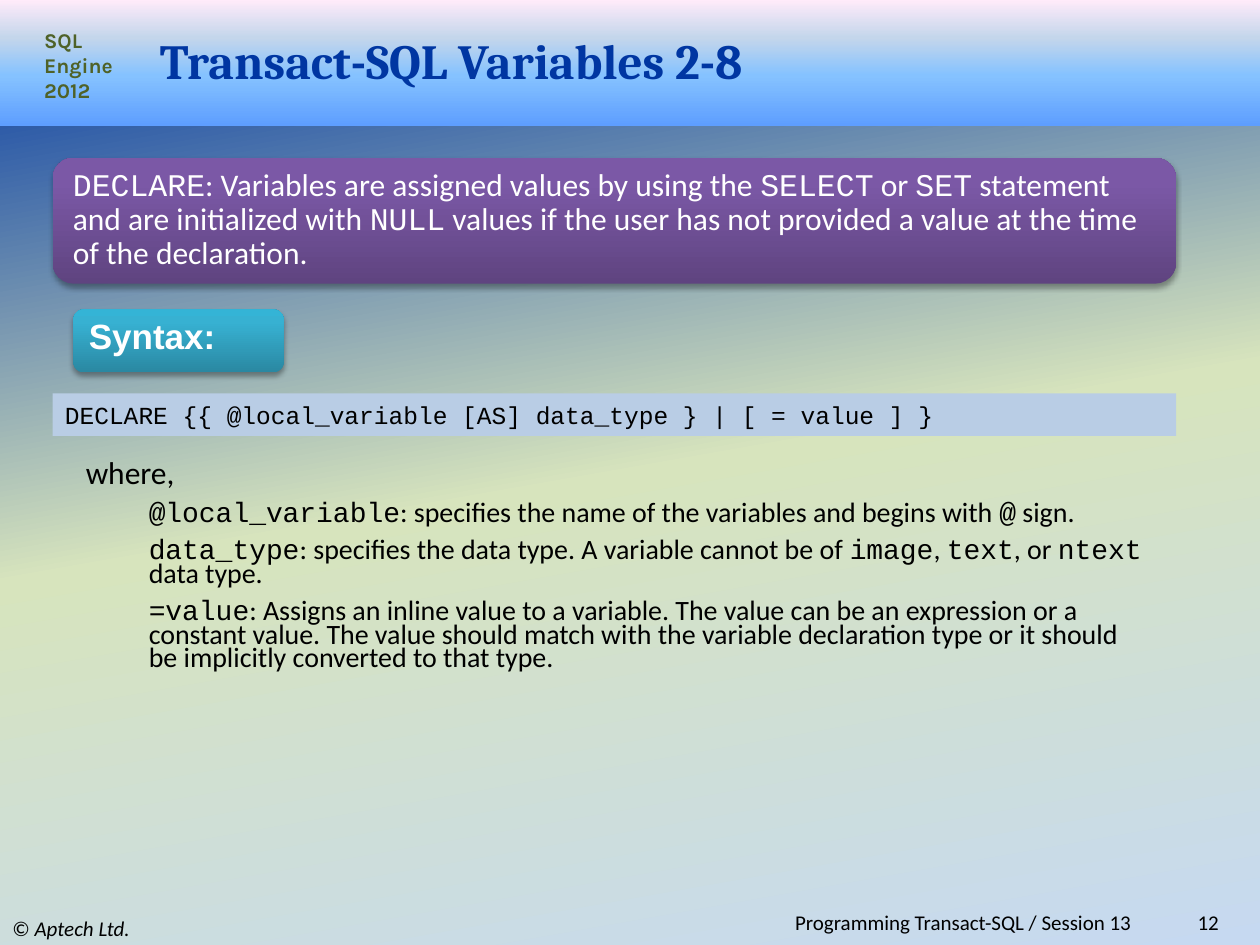
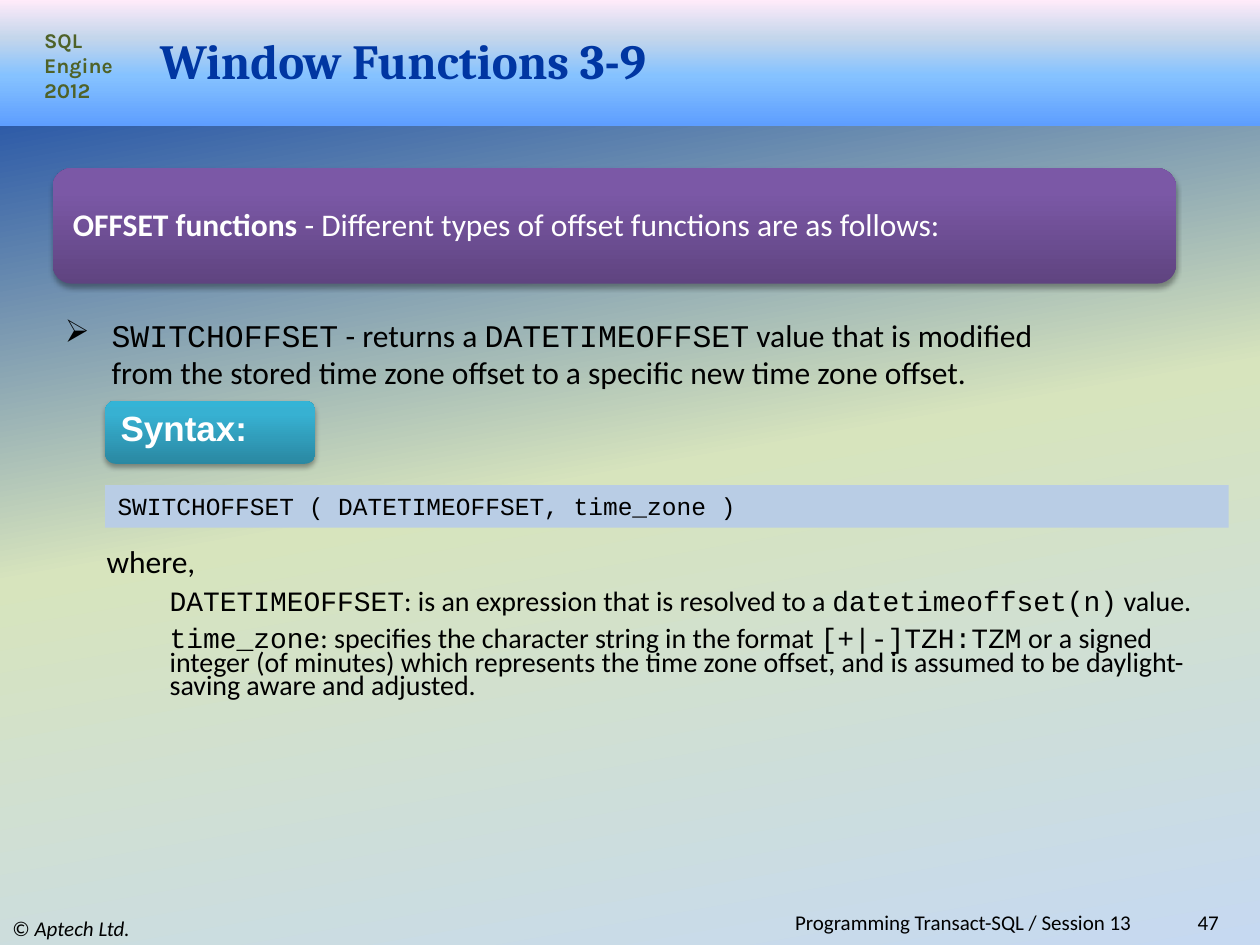
from dataclasses import dataclass
from typing import Any, NamedTuple, Optional

from lxml.etree import SubElement as Sub
from pptx import Presentation
from pptx.dml.color import RGBColor as Rgb
from pptx.enum.shapes import MSO_SHAPE as Form
from pptx.enum.text import MSO_ANCHOR as Anchor, PP_ALIGN as Align
from pptx.oxml.ns import qn
from pptx.util import Cm, Pt

HEX = {
    "black": "000000", "white": "FFFFFF", "title": "0036A2", "edge": "C00000",
    "label": "4F6228", "code": "B9CDE5",
}
# Each gradient: its angle, then (position, colour) stops.
GRADS = {
    "back": (80, [(0, "0036A2"), (50, "D7E4BD"), (100, "C6D9F1")]),
    "band": (270, [(0, "5E9EFF"), (40, "85C2FF"), (70, "C4D6EB"), (100, "FFEBFA")]),
    "panel": (270, [(0, "5F4480"), (80, "7B58A6"), (100, "7C57A8")]),
    "tag": (270, [(0, "2A88A2"), (80, "37B1D2"), (100, "34B4D6")]),
}
MONO = {"font": "Courier New"}
BOLD = {"bold": True}
HANG = 0.94


class Box(NamedTuple):
    x: float
    y: float
    w: float
    h: float

    def lens(self) -> list[Cm]:
        return [Cm(side) for side in self]


@dataclass
class Page:
    title: str
    num: int
    intro: str
    panel: Box
    tag: tuple[float, float]
    code: str
    bar: tuple[float, float]
    terms: list[str]
    notes: Box
    accent: dict[str, Any]
    point: Optional[str] = None


PAGES = [
    Page(
        title="Transact-SQL Variables 2-8",
        num=12,
        intro="`DECLARE`: Variables are assigned values by using the `SELECT` or `SET` "
              "statement and are initialized with `NULL` values if the user has not "
              "provided a value at the time of the declaration.",
        panel=Box(1.06, 3.18, 22.65, 2.54),
        tag=(1.48, 6.24),
        code="DECLARE {{ @local_variable [AS] data_type } | [ = value ] }",
        bar=(1.06, 7.93),
        terms=[
            "`@local_variable`: specifies the name of the variables and begins with "
            "`@` sign.",
            "`data_type`: specifies the data type. A variable cannot be of `image`, "
            "`text`, or `ntext` data type.",
            "`=value`: Assigns an inline value to a variable. The value can be an "
            "expression or a constant value. The value should match with the variable "
            "declaration type or it should be implicitly converted to that type.",
        ],
        notes=Box(1.48, 9.21, 21.8, 4.7),
        accent=MONO,
    ),
    Page(
        title="Window Functions 3-9",
        num=47,
        intro="`OFFSET functions` - Different types of offset functions are as follows:",
        panel=Box(1.06, 3.39, 22.65, 2.33),
        tag=(2.12, 8.08),
        code="SWITCHOFFSET ( DATETIMEOFFSET, time_zone )",
        bar=(2.12, 9.78),
        terms=[
            "`DATETIMEOFFSET`: is an expression that is resolved to a "
            "`datetimeoffset(n)` value.",
            "`time_zone`: specifies the character string in the format "
            "`[+|-]TZH:TZM` or a signed integer (of minutes) which represents the "
            "time zone offset, and is assumed to be daylight-saving aware and adjusted.",
        ],
        notes=Box(1.9, 11, 22.65, 3.4),
        accent=BOLD,
        point="`SWITCHOFFSET` - returns a `DATETIMEOFFSET` value that is modified from "
              "the stored time zone offset to a specific new time zone offset.",
    ),
]


def blend(fill: Any, root: Any, name: str) -> None:
    """Fill with a named gradient; root holds the fill's element."""
    fill.gradient()
    grad = root.find(".//" + qn("a:gradFill"))
    for part in list(grad):
        grad.remove(part)
    angle, stops = GRADS[name]
    row = Sub(grad, qn("a:gsLst"))
    for spot, tint in stops:
        stop = Sub(row, qn("a:gs"), pos=str(spot * 1000))
        Sub(stop, qn("a:srgbClr"), val=tint)
    Sub(grad, qn("a:lin"), ang=str(angle * 60000), scaled="0")


def shade(shape: Any) -> None:
    """Give the shape a soft shadow just below it."""
    glow = shape.element.spPr.find(qn("a:effectLst"))
    drop = Sub(glow, qn("a:outerShdw"), blurRad="40000", dist="23000",
               dir="5400000", rotWithShape="0")
    tint = Sub(drop, qn("a:srgbClr"), val=HEX["black"])
    Sub(tint, qn("a:alpha"), val="35000")


def add_form(shapes: Any, form: Form, box: Box, fill: str, lift: bool = False) -> Any:
    shape = shapes.add_shape(form, *box.lens())
    shape.shadow.inherit = False
    shape.line.fill.background()
    if fill in GRADS:
        blend(shape.fill, shape.element.spPr, fill)
    else:
        shape.fill.solid()
        shape.fill.fore_color.rgb = Rgb.from_string(HEX[fill])
    if lift:
        shade(shape)
    return shape


def add_box(shapes: Any, box: Box, anchor: Anchor = Anchor.TOP) -> Any:
    frame = shapes.add_textbox(*box.lens()).text_frame
    frame.word_wrap = True
    frame.vertical_anchor = anchor
    return frame


def write(frame: Any, text: str, *, font: str = "Calibri", size: float = 18,
          color: str = "black", bold: bool = False, italic: bool = False,
          alt: Optional[dict[str, Any]] = None, align: Align = Align.LEFT,
          lead: Optional[float] = None, before: float = 0, level: int = 0,
          left: float = 0, hang: float = 0, mark: str = "") -> Any:
    """Add a paragraph; parts between backticks take the alt format."""
    para = frame.paragraphs[0]
    if para.runs:
        para = frame.add_paragraph()
    props = para._p.get_or_add_pPr()
    if left:
        props.set("marL", str(Cm(left)))
        props.set("indent", str(-Cm(hang)))
    if mark:
        Sub(props, qn("a:buChar"), char=mark)
    para.alignment, para.level = align, level
    if lead:
        para.line_spacing = lead
    if before:
        para.space_before = Pt(before)
    base = {"font": font, "bold": bold, "italic": italic}
    for spot, part in enumerate(text.split("`")):
        if not part:
            continue
        look = {**base, **(alt or {})} if spot % 2 else base
        run = para.add_run()
        run.text = part
        run.font.name, run.font.size = look["font"], Pt(size)
        run.font.bold, run.font.italic = look["bold"], look["italic"]
        run.font.color.rgb = Rgb.from_string(HEX[color])
    return para


def add_title(slide: Any, text: str) -> None:
    title = slide.shapes.title
    title.left, title.top, title.width, title.height = Box(2.97, 0.64, 21.16, 1.14).lens()
    frame = title.text_frame
    frame.vertical_anchor = Anchor.MIDDLE
    para = write(frame, text, font="Cambria", size=28, color="title", bold=True)
    props = para.runs[0]._r.get_or_add_rPr()
    edge = Sub(props, qn("a:ln"), w="900")
    tint = Sub(Sub(edge, qn("a:solidFill")), qn("a:srgbClr"), val=HEX["edge"])
    Sub(tint, qn("a:alpha"), val="55000")
    props.insert(0, edge)


def add_frame(slide: Any, page: Page) -> None:
    """Draw the band, label, title and footers that all slides share."""
    shapes = slide.shapes
    band = add_form(shapes, Form.RECTANGLE, Box(0, 0, 25.4, 2.54), "band")
    shapes.title.element.addprevious(band.element)
    write(add_box(shapes, Box(0.64, 0.43, 1.9, 1.8)), "SQL Engine 2012",
          font="Karla", size=12, color="label", bold=True)
    for box, text, align in (
        (Box(0, 18.36, 8.46, 0.69), "© `Aptech Ltd.`", Align.LEFT),
        (Box(6.35, 18.36, 16.71, 0.46), "Programming Transact-SQL / Session 13", Align.RIGHT),
        (Box(22.66, 18.36, 2.16, 0.46), str(page.num), Align.RIGHT),
    ):
        write(add_box(shapes, box, Anchor.MIDDLE), text, size=12, align=align,
              alt={"italic": True})
    add_title(slide, page.title)


def add_panel(slide: Any, page: Page) -> None:
    shapes = slide.shapes.add_group_shape().shapes
    x, y, w, h = page.panel
    add_form(shapes, Form.ROUNDED_RECTANGLE, page.panel, "panel", lift=True)
    frame = add_box(shapes, Box(x + 0.2, y + 0.13, w - 0.42, h - 0.26), Anchor.MIDDLE)
    frame.margin_left = frame.margin_right = Cm(0.21)
    frame.margin_top = frame.margin_bottom = Cm(0.21)
    write(frame, page.intro, color="white", alt=page.accent, lead=0.9)


def add_syntax(slide: Any, page: Page) -> None:
    shapes = slide.shapes
    bar = add_form(shapes, Form.RECTANGLE, Box(*page.bar, 22.65, 0.86), "code").text_frame
    bar.vertical_anchor = Anchor.TOP
    write(bar, page.code, size=14, left=HANG, hang=HANG, **MONO)
    tag = add_form(shapes, Form.ROUNDED_RECTANGLE, Box(*page.tag, 4.24, 1.27), "tag", lift=True)
    tag.text_frame.vertical_anchor = Anchor.MIDDLE
    write(tag.text_frame, "Syntax:", font="Arial", size=20, color="white",
          bold=True, lead=0.7)
    notes = add_box(shapes, page.notes)
    write(notes, "where,", lead=0.7)
    for term in page.terms:
        write(notes, term, size=16, alt=MONO, lead=0.7, before=8, level=1, left=1.27)


def main() -> None:
    deck = Presentation()
    deck.slide_width, deck.slide_height = Cm(25.4), Cm(19.05)
    layout = deck.slide_layouts.get_by_name("Title Only")
    blend(layout.background.fill, layout.element, "back")
    for page in PAGES:
        slide = deck.slides.add_slide(layout)
        add_frame(slide, page)
        add_panel(slide, page)
        if page.point:
            write(add_box(slide.shapes, Box(1.06, 6.24, 20.75, 1.8)), page.point,
                  alt=MONO, left=HANG, hang=HANG, mark="➢")
        add_syntax(slide, page)
    deck.save("out.pptx")


if __name__ == "__main__":
    main()
